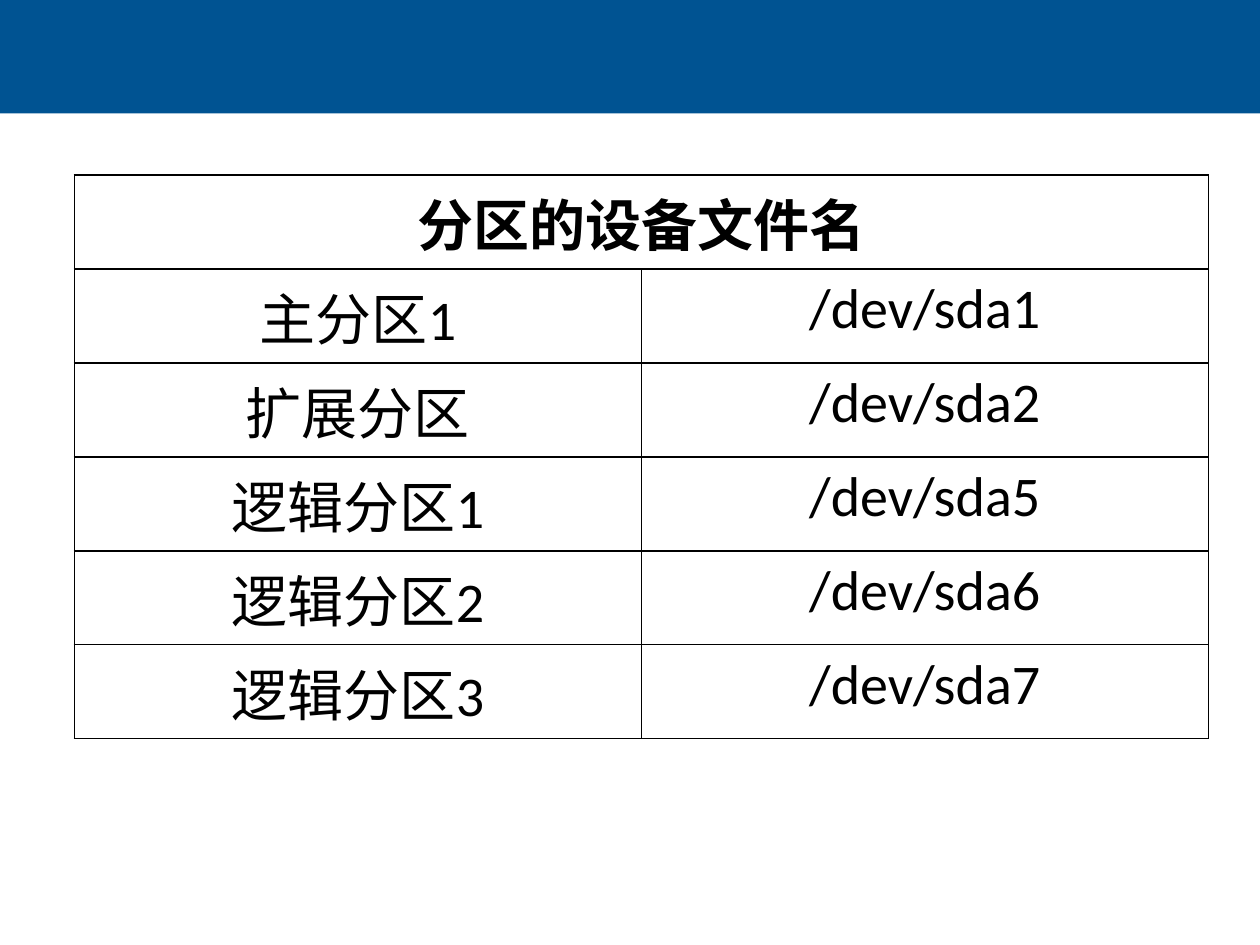
from lxml.etree import SubElement
from pptx import Presentation
from pptx.dml.color import RGBColor
from pptx.enum.shapes import MSO_SHAPE
from pptx.enum.text import PP_ALIGN
from pptx.oxml.ns import qn
from pptx.util import Inches, Pt

BLUE = RGBColor(0x00, 0x53, 0x92)
BLACK = RGBColor(0, 0, 0)
WHITE = RGBColor(255, 255, 255)

deck = Presentation()
deck.slide_width = Inches(10)
deck.slide_height = Inches(7.5)
slide = deck.slides.add_slide(deck.slide_layouts[6])
slide.background.fill.solid()
slide.background.fill.fore_color.rgb = WHITE

band = slide.shapes.add_shape(MSO_SHAPE.RECTANGLE, 0, 0, Inches(10), Inches(0.9))
band.shadow.inherit = False
band.fill.solid()
band.fill.fore_color.rgb = BLUE
band.line.fill.background()

rows = [
    ("分区的设备文件名", ""),
    ("主分区1", "/dev/sda1"),
    ("扩展分区", "/dev/sda2"),
    ("逻辑分区1", "/dev/sda5"),
    ("逻辑分区2", "/dev/sda6"),
    ("逻辑分区3", "/dev/sda7"),
]
table = slide.shapes.add_table(
    len(rows), 2, Inches(0.59), Inches(1.39), Inches(9), Inches(4.47)
).table
table.first_row = False
table.horz_banding = False
table.cell(0, 0).merge(table.cell(0, 1))

for r, row in enumerate(rows):
    for c, text in enumerate(row):
        cell = table.cell(r, c)
        props = cell._tc.get_or_add_tcPr()
        for side in ("a:lnL", "a:lnR", "a:lnT", "a:lnB"):
            line = SubElement(props, qn(side), w=str(Pt(1)))
            fill = SubElement(line, qn("a:solidFill"))
            SubElement(fill, qn("a:srgbClr"), val=str(BLACK))
        cell.fill.solid()
        cell.fill.fore_color.rgb = WHITE
        if cell.is_spanned:
            continue
        cell.text_frame.text = text
        para = cell.text_frame.paragraphs[0]
        para.alignment = PP_ALIGN.CENTER
        font = para.runs[0].font
        font.name = "Calibri"
        font.size = Pt(32)
        font.bold = r == 0
        font.color.rgb = BLACK

deck.save("out.pptx")
